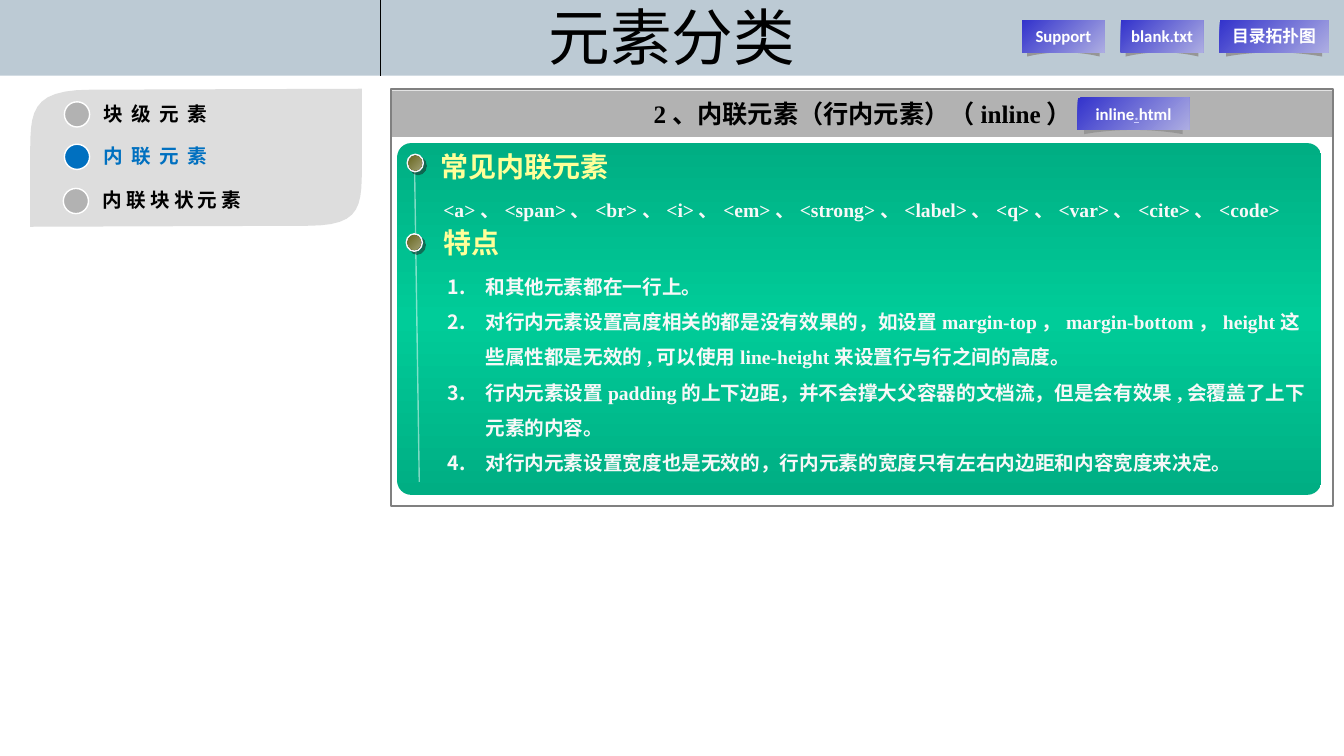
"""Build the slide on inline elements in an element classification lesson."""
from dataclasses import dataclass

from lxml.etree import SubElement
from pptx import Presentation
from pptx.dml.color import RGBColor
from pptx.enum.shapes import MSO_CONNECTOR, MSO_SHAPE
from pptx.enum.text import MSO_ANCHOR, MSO_AUTO_SIZE, PP_ALIGN
from pptx.oxml.ns import qn
from pptx.util import Pt

TITLE = "元素分类"
HEADING = "2、内联元素（行内元素）（inline）"
TAGS = "<a>、<span>、<br>、<i>、<em>、<strong>、<label>、<q>、<var>、<cite>、<code>"
SECTIONS = [("常见内联元素", 307.4, 103, 290.9, 110.2), ("特点", 309.6, 157.7, 290.2, 167)]
FEATURES = [
    "和其他元素都在一行上。",
    "对行内元素设置高度相关的都是没有效果的，如设置margin-top，margin-bottom，height"
    "这些属性都是无效的,可以使用line-height来设置行与行之间的高度。",
    "行内元素设置padding的上下边距，并不会撑大父容器的文档流，但是会有效果,会覆盖了上下元素的内容。",
    "对行内元素设置宽度也是无效的，行内元素的宽度只有左右内边距和内容宽度来决定。",
]
MENU = [("块级元素", 67, 72.7, 69.1, 6, False),
        ("内联元素", 67, 103, 99.4, 6, True),
        ("内联块状元素", 66.2, 135.4, 131, 3, False)]
BUTTONS = [("inline.html", 769.7, 69.8, 79.9), ("目录拓扑图", 871.2, 14.4, 77.8),
           ("Support", 730.1, 14.4, 59), ("blank.txt", 800.6, 14.4, 59)]
PANEL_START = (21.6, 112.3)
PANEL_CURVES = [
    [(21.6, 137.5), (21.6, 162), (21.6, 162)],
    [(219.6, 161.3)],
    [(259.9, 161.3), (258.5, 146.9), (258.5, 112.3)],
    [(258.5, 87.8), (258.5, 63.4), (258.5, 63.4)],
    [(64.8, 64.1)],
    [(20.9, 64.1), (21.6, 80.6), (21.6, 112.3)],
]


@dataclass(frozen=True)
class Theme:
    """Colours, fonts and type sizes."""
    band: str = "BCCAD4"
    black: str = "000000"
    gray: str = "B2B2B2"
    frame: str = "808080"
    panel: str = "DDDDDD"
    curl: str = "969696"
    white: str = "FFFFFF"
    text: str = "F8F8F8"
    accent: str = "0070C0"
    yellow: str = "FFFF99"
    underline: str = "CCCCFF"
    timeline: str = "FEFFFF"
    shade: str = "1C1C1C"
    green: tuple = ("00AE83", "00CC99", "00AE83")
    blue: tuple = ("3333CC", "ADADE2")
    rim: tuple = ("C0C6D3", "223864")
    core: tuple = ("686620", "9F9E71")
    serif: str = "Times New Roman"
    sans: str = "Calibri"
    chinese: str = "Noto Sans CJK SC"
    title_size: int = 44
    section_size: int = 20
    heading_size: int = 18
    body_size: int = 14
    button_size: int = 12


THEME = Theme()


def paint(shape, fill=None, line=None, weight=1.0, angle=45):
    """Set fill and outline; a tuple of colours makes a gradient."""
    shape.shadow.inherit = False
    if fill is None:
        shape.fill.background()
    elif isinstance(fill, tuple):
        shape.fill.gradient()
        shape.fill.gradient_angle = 360 - angle
        stop_list = shape._element.spPr.find(qn("a:gradFill")).find(qn("a:gsLst"))
        for stop in list(stop_list):
            stop_list.remove(stop)
        for index, color in enumerate(fill):
            stop = SubElement(stop_list, qn("a:gs"), pos=str(100000 * index // (len(fill) - 1)))
            SubElement(stop, qn("a:srgbClr"), val=color)
    else:
        shape.fill.solid()
        shape.fill.fore_color.rgb = RGBColor.from_string(fill)
    if line:
        shape.line.color.rgb = RGBColor.from_string(line)
        shape.line.width = Pt(weight)
    else:
        shape.line.fill.background()


def add_shape(shapes, kind, box, **look):
    """Add a painted preset shape."""
    shape = shapes.add_shape(kind, *map(Pt, box))
    paint(shape, **look)
    return shape


def add_outline(shapes, points, fill):
    """Add a closed freeform through the points."""
    start, *rest = [(Pt(x), Pt(y)) for x, y in points]
    builder = shapes.build_freeform(*start, scale=1.0)
    builder.add_line_segments(rest, close=True)
    paint(builder.convert_to_shape(), fill=fill)


def add_line(shapes, ends, color, weight, alpha=100):
    """Add a straight line without a shadow."""
    line = shapes.add_connector(MSO_CONNECTOR.STRAIGHT, *map(Pt, ends))
    line.line.color.rgb = RGBColor.from_string(color)
    line.line.width = Pt(weight)
    color_node = next(line._element.spPr.iter(qn("a:srgbClr")))
    SubElement(color_node, qn("a:alpha"), val=str(alpha * 1000))
    SubElement(line._element.spPr, qn("a:effectLst"))


def write(shape, paragraphs, size=THEME.body_size, color=THEME.black, font=THEME.serif, bold=True,
          align=PP_ALIGN.LEFT, anchor=MSO_ANCHOR.TOP, wrap=True, leading=None, tracking=0,
          numbered=False):
    """Fill a shape with paragraphs, each a list of (text, colour, underline) or a string."""
    frame = shape.text_frame
    frame.auto_size = MSO_AUTO_SIZE.NONE
    frame.word_wrap, frame.vertical_anchor = wrap, anchor
    for index, content in enumerate(paragraphs):
        paragraph = frame.add_paragraph() if index else frame.paragraphs[0]
        paragraph.alignment = align
        paragraph.space_before = Pt(0)
        if leading:
            paragraph.line_spacing = leading
        if numbered:
            properties = paragraph._p.get_or_add_pPr()
            properties.set("marL", str(Pt(27)))
            properties.set("indent", str(-Pt(27)))
            SubElement(properties, qn("a:buFont"), typeface=THEME.chinese)
            SubElement(properties, qn("a:buAutoNum"), type="arabicPeriod")
        runs = [(content, color, False)] if isinstance(content, str) else content
        for text, run_color, underline in runs:
            run = paragraph.add_run()
            run.text = text
            run.font.name, run.font.size, run.font.bold = font, Pt(size), bold
            run.font.color.rgb = RGBColor.from_string(run_color)
            if underline:
                run.font.underline = True
            if tracking:
                run._r.get_or_add_rPr().set("spc", str(tracking * 100))


def add_text(shapes, box, text, **style):
    """Add a text box with one paragraph."""
    write(shapes.add_textbox(*map(Pt, box)), [text], **style)


def place(placeholder, box):
    """Move a placeholder and bring it to the front."""
    placeholder.left, placeholder.top, placeholder.width, placeholder.height = map(Pt, box)
    placeholder._element.getparent().append(placeholder._element)


def add_button(slide, text, left, top, width):
    """Add a gradient button over a curled paper shadow."""
    shapes = slide.shapes.add_group_shape().shapes
    start, span = left + 0.06 * width, 0.88 * width
    arc = [(start + span * (1 - step / 10), top + 23 + 3 * (step / 5 - 1) ** 2)
           for step in range(11)]
    top_edge = [(start, top + 18), (start + span / 2, top + 15), (start + span, top + 18)]
    add_outline(shapes, arc + top_edge, THEME.curl)
    button = add_shape(shapes, MSO_SHAPE.RECTANGLE, (left, top, width, 23), fill=THEME.blue)
    name, dot, ending = text.partition(".")
    runs = [text]
    if ending == "html":
        runs = [[(name, THEME.white, False), (dot, THEME.underline, True),
                 (ending, THEME.white, False)]]
    write(button, runs, size=THEME.button_size, color=THEME.white, font=THEME.sans,
          align=PP_ALIGN.CENTER, anchor=MSO_ANCHOR.MIDDLE, wrap=False)


def add_bead(slide, left, top):
    """Add a two-part timeline bead with a shadow."""
    shapes = slide.shapes.add_group_shape().shapes
    rim = add_shape(shapes, MSO_SHAPE.OVAL, (left, top, 11.5, 12.5), fill=THEME.rim, line=THEME.text)
    effects = rim._element.spPr.find(qn("a:effectLst"))
    shadow = SubElement(effects, qn("a:outerShdw"), dist=str(Pt(2.8)), dir="2700000")
    shade = SubElement(shadow, qn("a:srgbClr"), val=THEME.shade)
    SubElement(shade, qn("a:alpha"), val="50000")
    add_shape(shapes, MSO_SHAPE.OVAL, (left + 0.9, top + 1, 9.5, 10.5), fill=THEME.core)


def panel_points():
    """Trace the menu panel from its lines and cubic curves."""
    points = [PANEL_START]
    for segment in PANEL_CURVES:
        if len(segment) == 1:
            points += segment
            continue
        corners = [points[-1], *segment]
        for step in range(1, 13):
            t = step / 12
            weights = ((1 - t) ** 3, 3 * t * (1 - t) ** 2, 3 * t * t * (1 - t), t ** 3)
            points.append(tuple(sum(w * c[axis] for w, c in zip(weights, corners))
                                for axis in (0, 1)))
    return points


def main():
    """Build and save the slide."""
    presentation = Presentation()
    presentation.slide_width, presentation.slide_height = Pt(960), Pt(540)
    slide = presentation.slides.add_slide(presentation.slide_layouts[1])
    shapes = slide.shapes
    title, body = slide.placeholders
    add_shape(shapes, MSO_SHAPE.RECTANGLE, (0, 0, 960, 54), fill=THEME.band)
    add_line(shapes, (272, 0, 272, 54), THEME.black, 0.75)
    place(title, (0, 0.7, 960, 49.7))
    write(title, [TITLE], size=THEME.title_size, font=THEME.chinese, bold=False,
          align=PP_ALIGN.CENTER, anchor=MSO_ANCHOR.MIDDLE)

    add_shape(shapes, MSO_SHAPE.RECTANGLE, (280, 64.8, 672.5, 33), fill=THEME.gray)
    add_text(shapes, (280.8, 67, 671, 51), HEADING, size=THEME.heading_size, align=PP_ALIGN.CENTER)
    add_shape(shapes, MSO_SHAPE.RECTANGLE, (279.4, 63.4, 672.5, 298), line=THEME.frame, weight=1.5)
    card = add_shape(shapes, MSO_SHAPE.ROUNDED_RECTANGLE, (283.7, 102.2, 660.2, 251.3),
                     fill=THEME.green, angle=90)
    card.adjustments[0] = 0.04
    add_line(shapes, (296, 110.2, 299.5, 344.2), THEME.timeline, 1, alpha=50)
    for text, left, top, bead_left, bead_top in SECTIONS:
        add_bead(slide, bead_left, bead_top)
        add_text(shapes, (left, top, 145, 31.7), text, size=THEME.section_size, color=THEME.yellow)
    add_text(shapes, (309.6, 129.6, 631.4, 32.4), TAGS, color=THEME.text, leading=1.5)
    place(body, (312.5, 184.3, 627.1, 160))
    write(body, FEATURES, color=THEME.text, leading=1.5, numbered=True)

    add_outline(shapes, panel_points(), THEME.panel)
    for text, left, top, dot_top, tracking, active in MENU:
        add_shape(shapes, MSO_SHAPE.OVAL, (left - 21, dot_top + 3.6, 18, 18),
                  fill=THEME.accent if active else THEME.gray, line=THEME.white)
        add_text(shapes, (left, dot_top, 163, 24.5), text, tracking=tracking,
                 color=THEME.accent if active else THEME.black)
    for button in BUTTONS:
        add_button(slide, *button)
    presentation.save("out.pptx")


if __name__ == "__main__":
    main()
